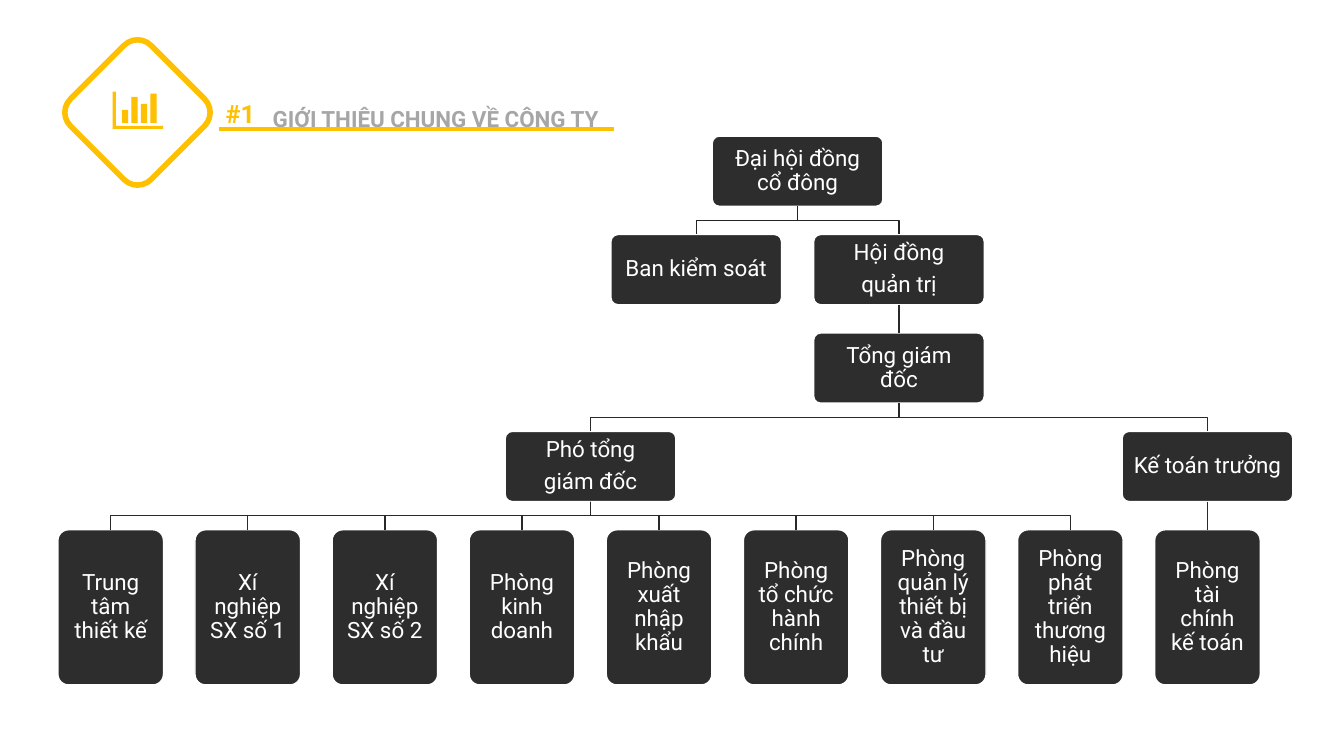
import pptx
import pptx.util
import pptx.dml.color
import pptx.enum.shapes
import pptx.enum.text
import pptx.oxml

Cm, Pt = pptx.util.Cm, pptx.util.Pt
SHAPE = pptx.enum.shapes.MSO_SHAPE
STRAIGHT = pptx.enum.shapes.MSO_CONNECTOR.STRAIGHT
CENTER = pptx.enum.text.PP_ALIGN.CENTER
ANCHOR = pptx.enum.text.MSO_ANCHOR

# Content: unit -> (level, parent, lines)
UNITS = {
    "assembly": (0, None, ["Đại hội đồng cổ đông"]),
    "control": (1, "assembly", ["Ban kiểm soát"]),
    "council": (1, "assembly", ["Hội đồng", "quản trị"]),
    "director": (2, "council", ["Tổng giám đốc"]),
    "deputy": (3, "director", ["Phó tổng", "giám đốc"]),
    "accountant": (3, "director", ["Kế toán trưởng"]),
}
DEPARTMENTS = [
    ("deputy", "Trung tâm thiết kế"),
    ("deputy", "Xí nghiệp SX số 1"),
    ("deputy", "Xí nghiệp SX số 2"),
    ("deputy", "Phòng kinh doanh"),
    ("deputy", "Phòng xuất nhập khẩu"),
    ("deputy", "Phòng tổ chức hành chính"),
    ("deputy", "Phòng quản lý thiết bị và đầu tư"),
    ("deputy", "Phòng phát triển thương hiệu"),
    ("accountant", "Phòng tài chính kế toán"),
]
HEADINGS = [
    # text, left, top, width, height, style
    ("#1", 2.84, 2.49, 6.43, 0.76, "number"),
    ("GIỚI THIỆU CHUNG VỀ CÔNG TY", 6.05, 2.31, 9.86, 0.89, "title"),
]
BAR_TOPS = [2.77, 2.44, 2.62, 2.36]

THEME = {
    "font": "Roboto",
    "accent": "FFC000",
    "paper": "FFFFFF",
    "box": "2D2D2D",
    "top_link": "242424",
    "link": "292929",
    "number": {"size": 18, "color": "FFC000", "bold": True,
               "para": {"space_after": Pt(12)}},
    "title": {"size": 16, "color": "A6A6A6", "bold": True,
              "para": {"line_spacing": 1.5}},
    "unit": {"size": 16, "color": "FFFFFF", "bold": False,
             "para": {"line_spacing": 0.9, "space_after": Pt(5.6)}},
}

# Layout in centimetres
FIRST_CENTER, LAST_CENTER = 2.79, 30.43
LEVEL_TOP, LEVEL_STEP = 3.43, 2.48
SIBLING_STEP = 5.11
MANAGER = {"width": 4.3, "height": 1.77, "inset": 0.23}
DEPARTMENT = {"width": 2.66, "height": 3.91, "inset": 0.25}


def rgb(code):
    return pptx.dml.color.RGBColor.from_string(code)


def apply(target, values):
    for name, value in values.items():
        setattr(target, name, value)


def paint(shape, fill, line, weight=1):
    shape.shadow.inherit = False
    if fill:
        shape.fill.solid()
        shape.fill.fore_color.rgb = rgb(fill)
    else:
        shape.fill.background()
    if line:
        shape.line.color.rgb = rgb(line)
        shape.line.width = Pt(weight)
    else:
        shape.line.fill.background()


def write(shape, lines, style, inset, anchor):
    frame = shape.text_frame
    margins = {f"margin_{side}": Cm(inset)
               for side in ("left", "top", "right", "bottom")}
    apply(frame, {"word_wrap": True, "vertical_anchor": anchor, **margins})
    for index, line in enumerate(lines):
        para = frame.add_paragraph() if index else frame.paragraphs[0]
        apply(para, {"alignment": CENTER, **style["para"]})
        span = para.add_run()
        span.text = line
        apply(span.font, {"name": THEME["font"], "size": Pt(style["size"]),
                          "bold": style["bold"]})
        span.font.color.rgb = rgb(style["color"])


def add_outline(page, contours, close):
    """Build one freeform from lists of (x, y) points in centimetres."""
    contours = [[(Cm(x), Cm(y)) for x, y in points] for points in contours]
    builder = page.shapes.build_freeform(*contours[0][0])
    for index, points in enumerate(contours):
        if index:
            builder.move_to(*points[0])
        builder.add_line_segments(points[1:], close=close)
    return builder.convert_to_shape()


def add_straight(page, start, end, color, weight):
    line = page.shapes.add_connector(STRAIGHT, *(Cm(v) for v in start + end))
    line.line.color.rgb = rgb(color)
    line.line.width = Pt(weight)
    line._element.spPr.append(pptx.oxml.parse_xml(
        '<a:effectLst xmlns:a='
        '"http://schemas.openxmlformats.org/drawingml/2006/main"/>'))
    return line


def add_header(page):
    badge = page.shapes.add_shape(SHAPE.ROUNDED_RECTANGLE, Cm(2.03), Cm(1.4),
                                  Cm(2.87), Cm(2.87))
    badge.rotation = 45
    paint(badge, THEME["paper"], THEME["accent"], 4)

    axes = [(4.11, 3.25), (2.84, 3.25), (2.84, 2.31),
            (2.92, 2.31), (2.92, 3.17), (4.11, 3.17)]
    bars = []
    for index, top in enumerate(BAR_TOPS):
        left = 3.07 + 0.24 * index
        bars.append([(left, 3.1), (left, top),
                     (left + 0.16, top), (left + 0.16, 3.1)])
    paint(add_outline(page, [axes] + bars, True), THEME["accent"], None)

    for text, left, top, width, height, style in HEADINGS:
        box = page.shapes.add_textbox(Cm(left), Cm(top), Cm(width), Cm(height))
        write(box, [text], THEME[style], 0, ANCHOR.TOP)
    add_straight(page, (5.51, 3.25), (15.47, 3.25), THEME["accent"], 3)


def find_centers(units, children):
    """Spread departments evenly and centre each parent over its children."""
    step = (LAST_CENTER - FIRST_CENTER) / (len(DEPARTMENTS) - 1)
    centers = {index: FIRST_CENTER + step * index
               for index in range(len(DEPARTMENTS))}
    for name in ("accountant", "deputy", "director", "council"):
        below = [centers[child] for child in children[name]]
        centers[name] = (below[0] + below[-1]) / 2
    centers["control"] = centers["council"] - SIBLING_STEP
    centers["assembly"] = (centers["control"] + centers["council"]) / 2
    return centers


def add_chart_of_units(page):
    units = dict(UNITS)
    for index, (parent, text) in enumerate(DEPARTMENTS):
        units[index] = (4, parent, [text])
    children = {name: [child for child, unit in units.items()
                       if unit[1] == name] for name in units}
    centers = find_centers(units, children)

    boxes = {}
    for name, (level, parent, lines) in units.items():
        size = DEPARTMENT if level == 4 else MANAGER
        box = page.shapes.add_shape(
            SHAPE.ROUNDED_RECTANGLE, Cm(centers[name] - size["width"] / 2),
            Cm(LEVEL_TOP + LEVEL_STEP * level),
            Cm(size["width"]), Cm(size["height"]))
        box.adjustments[0] = 0.1
        paint(box, THEME["box"], THEME["paper"])
        write(box, lines, THEME["unit"], size["inset"], ANCHOR.MIDDLE)
        boxes[name] = box

    for name, (level, parent, lines) in units.items():
        if parent is None:
            continue
        color = THEME["top_link"] if level == 1 else THEME["link"]
        end = LEVEL_TOP + LEVEL_STEP * level
        start = end - LEVEL_STEP + MANAGER["height"]
        middle = (start + end) / 2
        above, below = centers[parent], centers[name]
        if len(children[parent]) == 1:
            link = add_straight(page, (above, start), (below, end), color, 1)
            link.begin_connect(boxes[parent], 2)
            link.end_connect(boxes[name], 0)
        else:
            bend = [(above, start), (above, middle),
                    (below, middle), (below, end)]
            paint(add_outline(page, [bend], False), None, color)


def main():
    deck = pptx.Presentation()
    apply(deck, {"slide_width": Cm(33.87), "slide_height": Cm(19.05)})
    page = deck.slides.add_slide(deck.slide_layouts[6])
    add_header(page)
    add_chart_of_units(page)
    deck.save("out.pptx")


if __name__ == "__main__":
    main()
